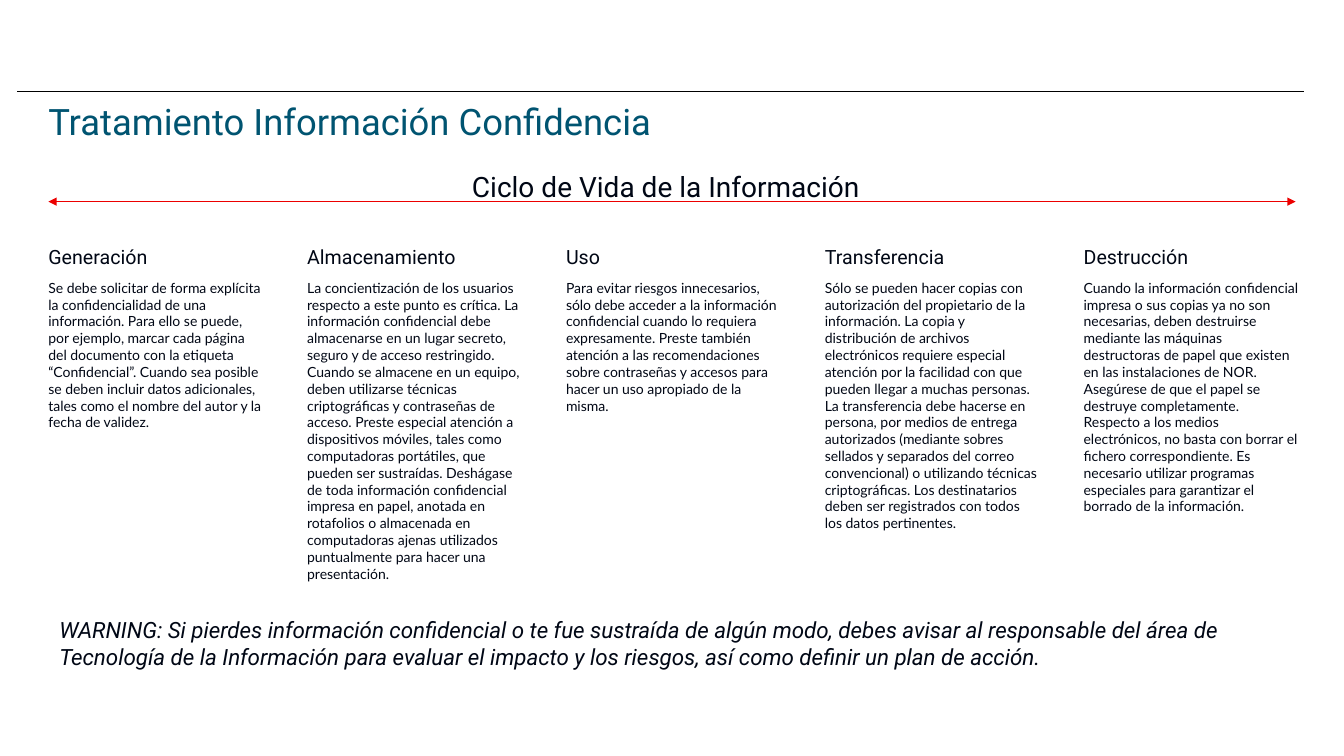
"""Build the slide on the life cycle of confidential information."""
from lxml import etree
from pptx import Presentation
from pptx.dml.color import RGBColor
from pptx.enum import shapes, text
from pptx.oxml.ns import qn
from pptx.util import Inches, Pt

TEAL = RGBColor(0x00, 0x54, 0x71)
INK = RGBColor(0x00, 0x07, 0x15)
RED = RGBColor(0xEC, 0x00, 0x00)
BLACK = RGBColor(0x00, 0x00, 0x00)

STAGES = [
    ("Generación",
     "Se debe solicitar de forma explícita la confidencialidad de una información. "
     "Para ello se puede, por ejemplo, marcar cada página del documento con la etiqueta "
     "“Confidencial”. Cuando sea posible se deben incluir datos adicionales, tales como "
     "el nombre del autor y la fecha de validez."),
    ("Almacenamiento",
     "La concientización de los usuarios respecto a este punto es crítica. La información "
     "confidencial debe almacenarse en un lugar secreto, seguro y de acceso restringido. "
     "Cuando se almacene en un equipo, deben utilizarse técnicas criptográficas y "
     "contraseñas de acceso. Preste especial atención a dispositivos móviles, tales como "
     "computadoras portátiles, que pueden ser sustraídas. Deshágase de toda información "
     "confidencial impresa en papel, anotada en rotafolios o almacenada en computadoras "
     "ajenas utilizados puntualmente para hacer una presentación."),
    ("Uso",
     "Para evitar riesgos innecesarios, sólo debe acceder a la información confidencial "
     "cuando lo requiera expresamente. Preste también atención a las recomendaciones sobre "
     "contraseñas y accesos para hacer un uso apropiado de la misma."),
    ("Transferencia",
     "Sólo se pueden hacer copias con autorización del propietario de la información. La "
     "copia y distribución de archivos electrónicos requiere especial atención por la "
     "facilidad con que pueden llegar a muchas personas. La transferencia debe hacerse en "
     "persona, por medios de entrega autorizados (mediante sobres sellados y separados del "
     "correo convencional) o utilizando técnicas criptográficas. Los destinatarios deben "
     "ser registrados con todos los datos pertinentes."),
    ("Destrucción",
     "Cuando la información confidencial impresa o sus copias ya no son necesarias, deben "
     "destruirse mediante las máquinas destructoras de papel que existen en las "
     "instalaciones de NOR. Asegúrese de que el papel se destruye completamente. Respecto a "
     "los medios electrónicos, no basta con borrar el fichero correspondiente. Es necesario "
     "utilizar programas especiales para garantizar el borrado de la información."),
]

deck = Presentation()
deck.slide_width, deck.slide_height = Inches(13.33), Inches(7.5)
slide = deck.slides.add_slide(deck.slide_layouts[6])


def write(words, left, top, width, height, size, font="Roboto", color=INK, pad=(0, 0)):
    """Add a text box and return its paragraph."""
    box = slide.shapes.add_textbox(Inches(left), Inches(top), Inches(width), Inches(height))
    frame = box.text_frame
    frame.word_wrap = True
    frame.margin_left = frame.margin_right = Inches(pad[0])
    frame.margin_top = frame.margin_bottom = Inches(pad[1])
    frame.text = words
    line = frame.paragraphs[0]
    face = line.runs[0].font
    face.name, face.size, face.color.rgb = font, Pt(size), color
    return line


def rule(left, right, top, color, weight):
    """Add a level line and return it."""
    line = slide.shapes.add_connector(
        shapes.MSO_CONNECTOR.STRAIGHT, Inches(left), Inches(top), Inches(right), Inches(top))
    line.line.color.rgb, line.line.width = color, Pt(weight)
    etree.SubElement(line._element.spPr, qn("a:effectLst"))
    return line


rule(0.17, 12.93, 0.91, BLACK, 1)
title = write("Tratamiento Información Confidencia", 0.48, 1.03, 12.37, 0.56, 26, color=TEAL)
title.line_spacing = 0.9

for col, (head, body) in enumerate(STAGES):
    left = 0.48 + col * 2.567
    write(body, left, 2.77, 2.13, 4.39, 10, font="Lato")
    write(head, left, 2.43, 2.13, 0.32, 14)

cycle = write("Ciclo de Vida de la Información", 0.48, 1.68, 12.25, 0.32, 20)
cycle.alignment = text.PP_ALIGN.CENTER

arrow = rule(0.48, 12.85, 2, RED, 0.5)
for end in ("a:headEnd", "a:tailEnd"):
    etree.SubElement(arrow.line._get_or_add_ln(), qn(end), type="triangle")

warn = write(
    "WARNING: Si pierdes información confidencial o te fue sustraída de algún modo, debes "
    "avisar al responsable del área de Tecnología de la Información para evaluar el impacto "
    "y los riesgos, así como definir un plan de acción.",
    0.49, 6.06, 12.37, 0.64, 16, pad=(0.1, 0.05))
warn.runs[0].font.italic = True

deck.save("out.pptx")
